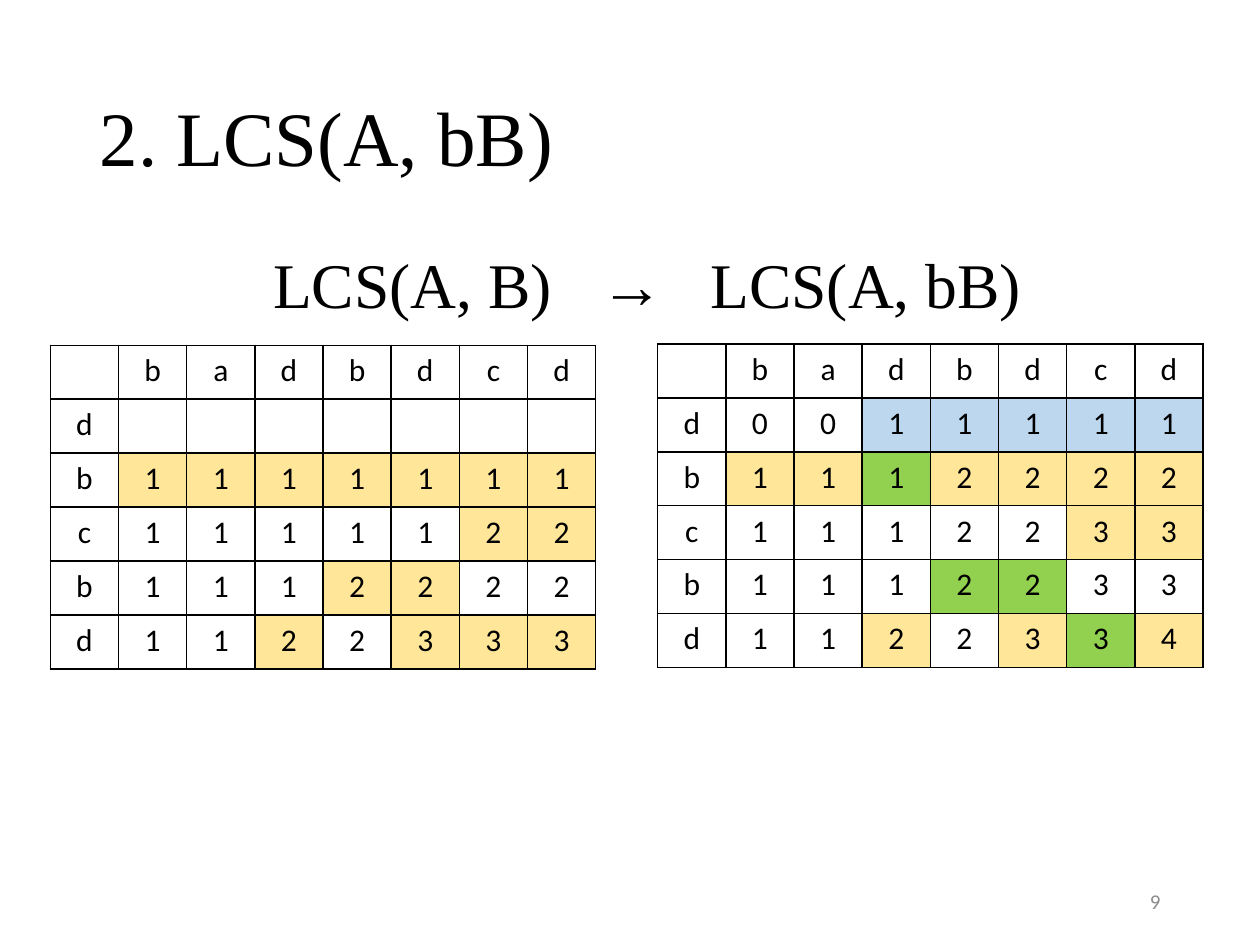
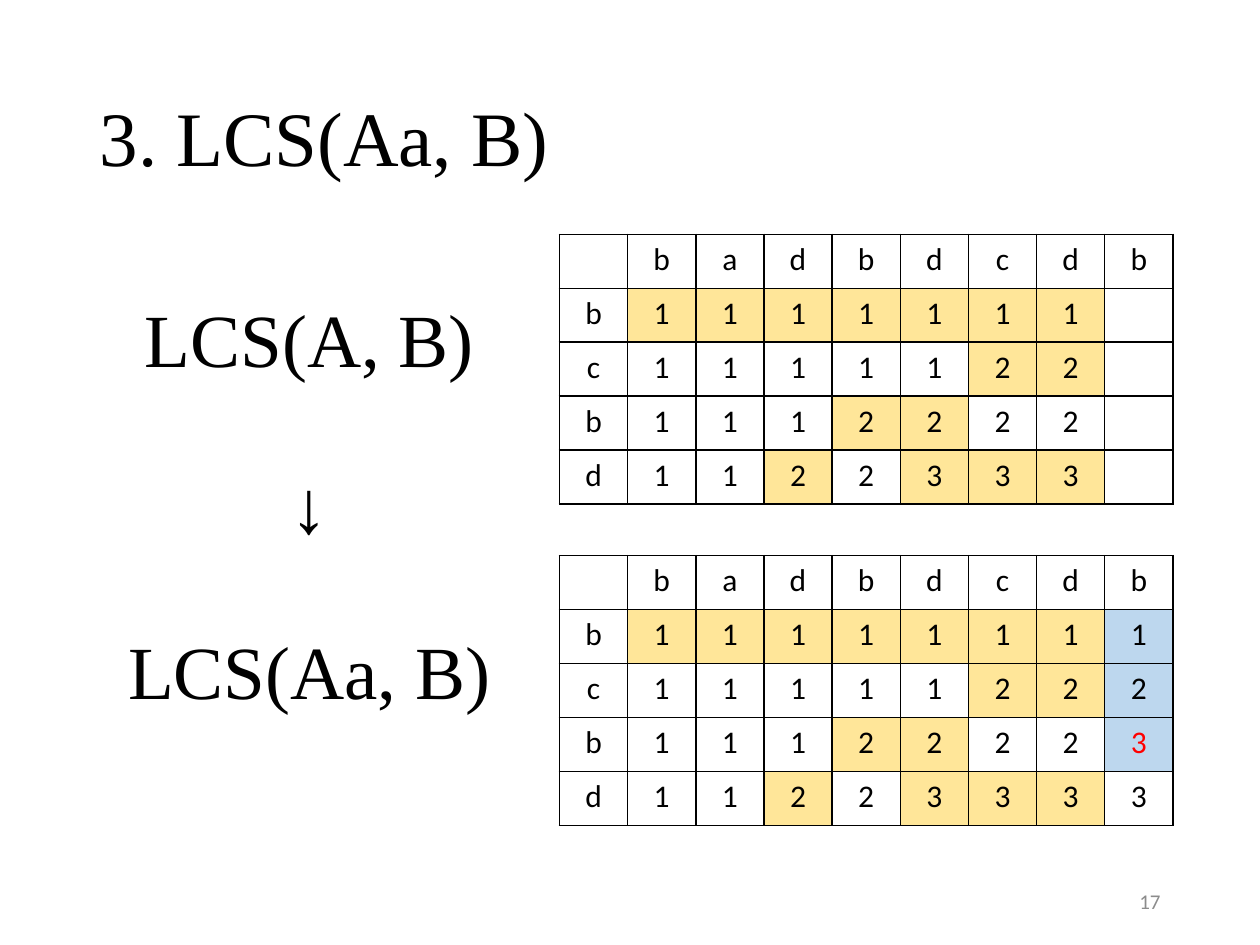
import pptx
import pptx.util
import pptx.dml.color
import pptx.enum.text
import pptx.oxml
import pptx.oxml.ns
from pptx.util import Inches

BLACK = pptx.dml.color.RGBColor(0x00, 0x00, 0x00)
GRAY = pptx.dml.color.RGBColor(0x8C, 0x8C, 0x8C)
RED = pptx.dml.color.RGBColor(0xFF, 0x00, 0x00)
YELLOW = pptx.dml.color.RGBColor(0xFF, 0xE6, 0x99)
BLUE = pptx.dml.color.RGBColor(0xBD, 0xD7, 0xEE)
GREEN = pptx.dml.color.RGBColor(0x92, 0xD0, 0x50)
FILLS = {"y": YELLOW, "b": BLUE, "g": GREEN}

SERIF = "Times New Roman"
SANS = "Calibri"
ALIGN = pptx.enum.text.PP_ALIGN
NAMESPACE = pptx.oxml.ns.nsdecls("a")

# Each row: cell characters, then fill codes ("." is no fill)
HEADER = (" badbdcd", "........")
LCS_A_B = [
    ("b1111111", ".yyyyyyy"),
    ("c1111122", "......yy"),
    ("b1112222", "....yy.."),
    ("d1122333", "...y.yyy"),
]
LCS_A_BB = [
    ("d0011111", "...bbbbb"),
    ("b1112222", ".yygyyyy"),
    ("c1112233", "......yy"),
    ("b1112233", "....gg.."),
    ("d1122334", "...y.ygy"),
]


def write_text(shape, lines, size, font, color, align, spacing=1.0, gap=0):
    frame = shape.text_frame
    frame.word_wrap = True
    frame.auto_size = pptx.enum.text.MSO_AUTO_SIZE.NONE
    frame.vertical_anchor = pptx.enum.text.MSO_ANCHOR.MIDDLE
    frame.text = "\n".join(lines)
    for index, para in enumerate(frame.paragraphs):
        para.alignment = align
        para.line_spacing = spacing
        para.space_before = pptx.util.Pt(gap if index else 0)
        for span in para.runs:
            span.font.size = pptx.util.Pt(size)
            span.font.name = font
            span.font.color.rgb = color


def add_grid(page, left, top, rows):
    column_count = len(rows[0][0])
    grid = page.shapes.add_table(
        len(rows), column_count, Inches(left), Inches(top),
        Inches(4.33 / 8 * column_count), Inches(2.57 / 6 * len(rows))).table
    grid.first_row = False
    grid.horz_banding = False
    for row_index, (letters, codes) in enumerate(rows):
        for column_index, (letter, code) in enumerate(zip(letters, codes)):
            cell = grid.cell(row_index, column_index)
            cell.text = letter.strip()
            para = cell.text_frame.paragraphs[0]
            para.alignment = ALIGN.CENTER
            para.font.size = pptx.util.Pt(18)
            for span in para.runs:
                span.font.size = pptx.util.Pt(18)
                span.font.name = SANS
                span.font.color.rgb = BLACK
            properties = cell._tc.get_or_add_tcPr()
            for side in ("lnL", "lnR", "lnT", "lnB"):
                properties.append(pptx.oxml.parse_xml(
                    f'<a:{side} {NAMESPACE} w="12700"><a:solidFill>'
                    f'<a:srgbClr val="{BLACK}"/></a:solidFill></a:{side}>'))
            if code in FILLS:
                cell.fill.solid()
                cell.fill.fore_color.rgb = FILLS[code]
            else:
                cell.fill.background()
    return grid


deck = pptx.Presentation()
deck.slide_width = Inches(10)
deck.slide_height = Inches(7.5)

# Titles and page numbers
pages = []
for title, number in (("2. LCS(A, bB)", "9"), ("3. LCS(Aa, B)", "17")):
    page = deck.slides.add_slide(deck.slide_layouts[5])
    heading = page.shapes.title
    heading.left, heading.top = Inches(0.69), Inches(0.4)
    heading.width, heading.height = Inches(8.62), Inches(1.45)
    write_text(heading, [title], 44, SERIF, BLACK, ALIGN.LEFT, 0.9)
    box = page.shapes.add_textbox(Inches(7.06), Inches(6.95), Inches(2.25), Inches(0.4))
    write_text(box, [number], 12, SANS, GRAY, ALIGN.RIGHT)
    pages.append(page)
prepend_page, append_page = pages

# Slide 1: table captions on one line, spaced by tab stops
box = prepend_page.shapes.add_textbox(Inches(2.07), Inches(1.87), Inches(6.34), Inches(0.87))
write_text(box, ["LCS(A, B)\t→\tLCS(A, bB)"], 36.3, SERIF, BLACK, ALIGN.LEFT, 0.8)
stops = "".join(f'<a:tab pos="{Inches(stop)}" algn="l"/>' for stop in (2.6, 3.47))
box.text_frame.paragraphs[0]._p.get_or_add_pPr().append(
    pptx.oxml.parse_xml(f"<a:tabLst {NAMESPACE}>{stops}</a:tabLst>"))

# Slide 1: tables before and after prepending a row
add_grid(prepend_page, 0.4, 2.74, [HEADER, ("d       ", "........")] + LCS_A_B)
add_grid(prepend_page, 5.22, 2.73, [HEADER] + LCS_A_BB)

# Slide 2: captions stacked beside the tables
box = append_page.shapes.add_textbox(Inches(0.77), Inches(2.27), Inches(3.37), Inches(3.54))
write_text(box, ["LCS(A, B)", "↓", "LCS(Aa, B)"], 42.9, SERIF, BLACK,
           ALIGN.CENTER, 0.9, gap=48.5)

# Slide 2: tables before and after appending a column
for top, new_letters, new_codes in ((1.86, "b    ", "....."), (4.41, "b1233", ".bbb.")):
    rows = [(letters + letter, codes + code) for (letters, codes), letter, code
            in zip([HEADER] + LCS_A_B, new_letters, new_codes)]
    grid = add_grid(append_page, 4.44, top, rows)
grid.cell(3, 8).text_frame.paragraphs[0].runs[0].font.color.rgb = RED

deck.save("out.pptx")
